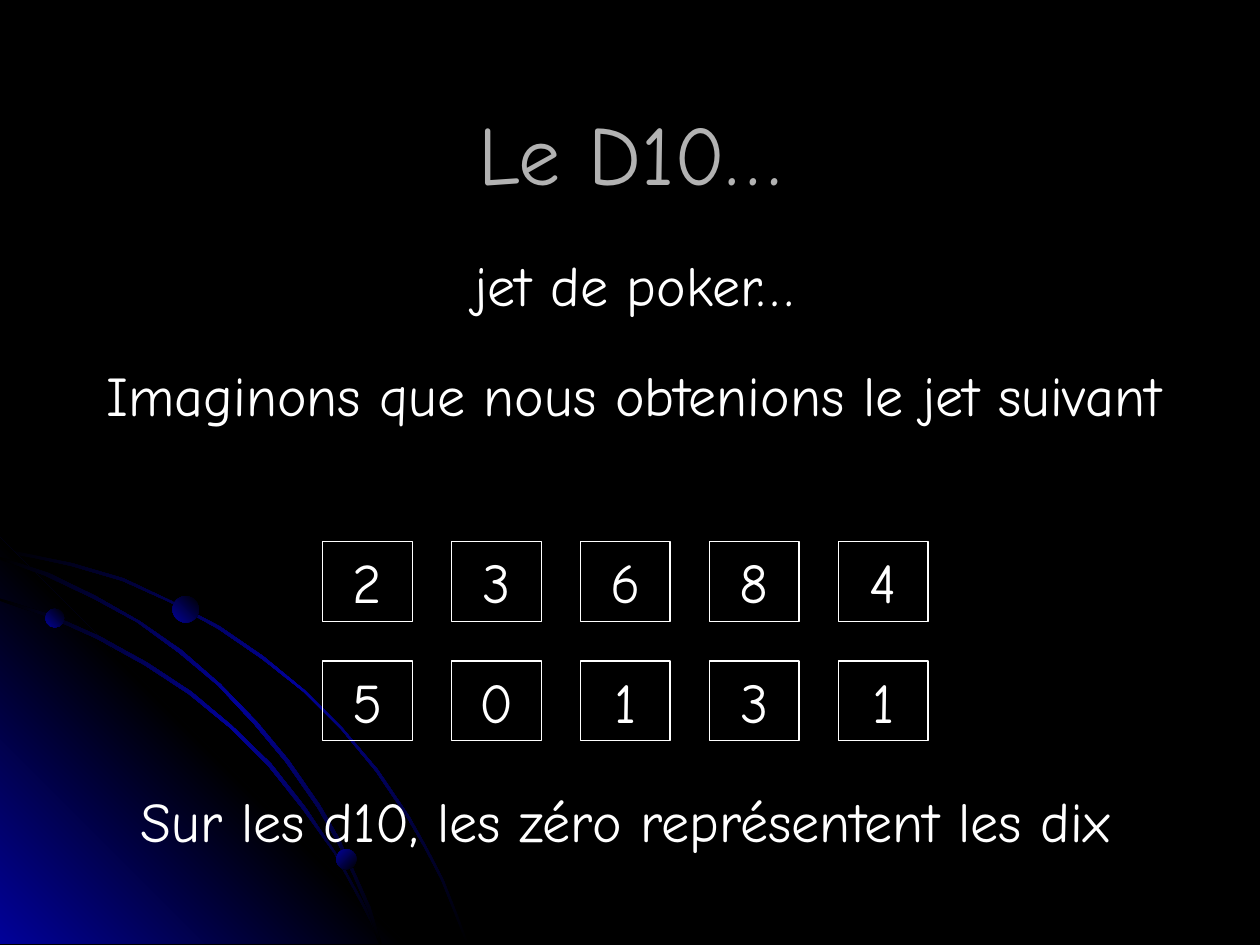
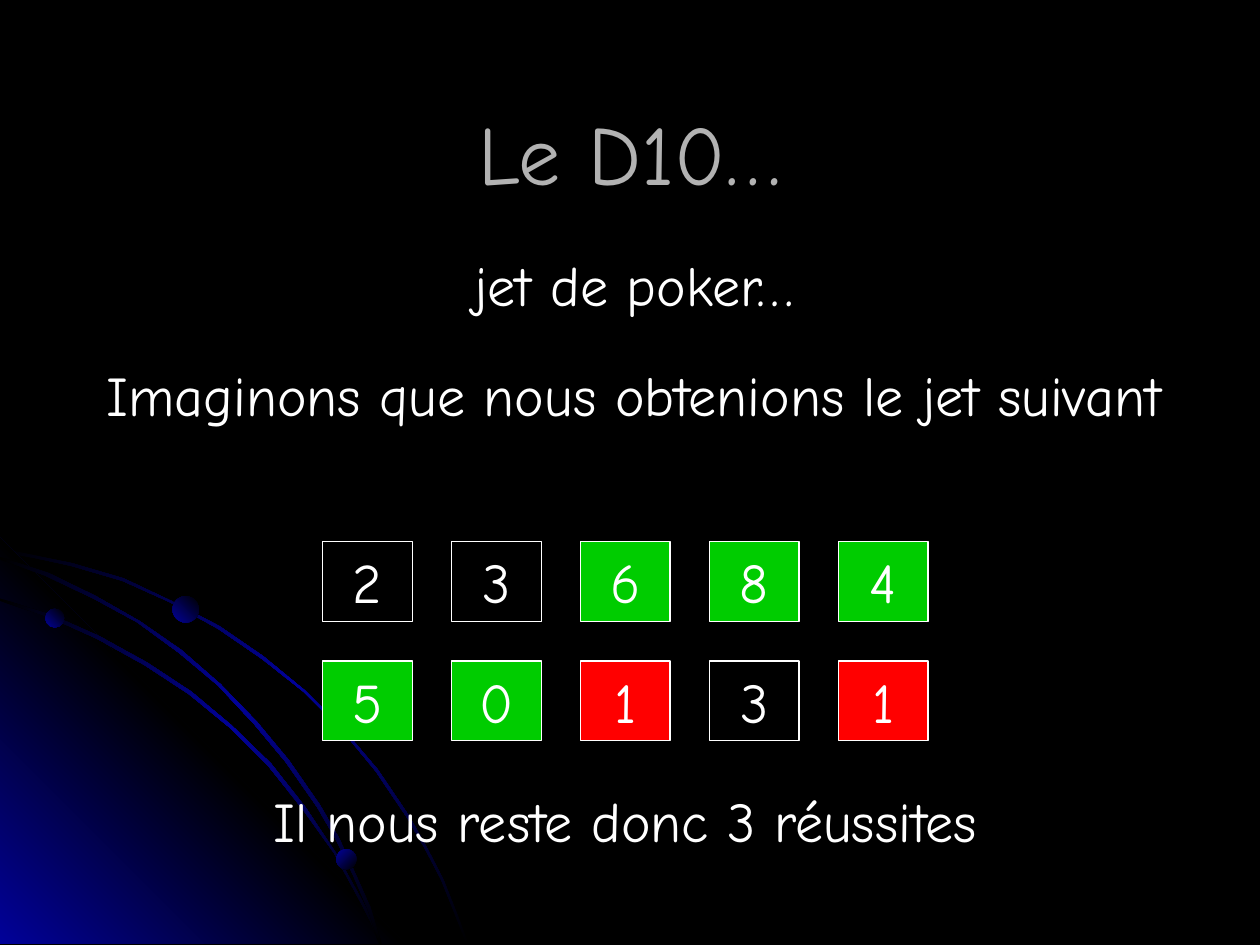
from dataclasses import dataclass

from lxml.etree import SubElement
from pptx import Presentation
from pptx.dml.color import RGBColor
from pptx.enum.shapes import MSO_SHAPE
from pptx.enum.text import MSO_ANCHOR, PP_ALIGN
from pptx.oxml.ns import qn
from pptx.util import Pt


@dataclass(frozen=True)
class Theme:
    font: str = "Comic Neue"
    background: str = "000000"
    glow: str = "010199"
    title: str = "B2B2B2"
    text: str = "FFFFFF"
    success: str = "00CC00"
    failure: str = "FF0000"
    title_size: float = 48
    text_size: float = 32
    outline_width: float = 0.75


THEME = Theme()
TRAIL = ((0, THEME.background), (50, THEME.glow), (100, THEME.background))
CORNER = ((0, THEME.glow), (50, THEME.background), (100, THEME.glow))
PLANET = ((0, THEME.background), (100, THEME.glow))

CORNER_POINTS = [(231.8, 539.3), (0, 539.3), (0, 307.4)]
OUTER_ORBIT = [
    (0, 315.4), (20.2, 319), (40.3, 323.3), (69.8, 331.9), (97.2, 344.2),
    (124.6, 359.3), (149.8, 376.6), (173.5, 395.3), (195.1, 416.9),
    (214.6, 440.6), (232.6, 467.3), (242.6, 484.6), (252, 502.6),
    (259.2, 520.6), (266.4, 539.3), (267.8, 539.3), (260.6, 520.6),
    (253.4, 502.6), (244.1, 484.6), (234, 466.6), (216, 439.9),
    (195.8, 416.2), (174.2, 394.6), (150.5, 375.1), (125.3, 357.8),
    (97.9, 343.4), (70.6, 330.5), (41, 321.8), (20.2, 317.5), (0, 313.2),
]
INNER_ORBIT = [
    (0, 343.4), (28.1, 352.8), (55.4, 365), (82.8, 380.2), (108, 396.7),
    (131.8, 416.2), (153.4, 437.8), (172.8, 462.2), (190.8, 487.4),
    (205.2, 514.1), (211.7, 527), (216.7, 539.3), (218.2, 539.3),
    (213.1, 525.6), (205.9, 512.6), (191.5, 486.7), (174.2, 460.8),
    (154.8, 436.3), (132.5, 414.7), (109.4, 395.3), (84.2, 378.7),
    (56.9, 363.6), (29.5, 351.4), (0, 342),
]
MIDDLE_ORBIT = [
    (0, 319.7), (25.9, 329), (53.3, 342), (78.5, 355.7), (102.2, 373),
    (124.6, 391.7), (145.4, 414), (163.4, 435.6), (181.4, 461.5),
    (192.2, 480.2), (201.6, 499.7), (210.2, 519.8), (216.7, 539.3),
    (218.2, 539.3), (211.7, 518.4), (203, 499), (193.7, 478.8),
    (182.9, 460.1), (164.9, 434.2), (146.9, 412.6), (126, 391),
    (103.7, 371.5), (79.9, 355), (54.7, 340.6), (28.1, 327.6), (0, 318.2),
]
BACKDROP = [
    (OUTER_ORBIT, TRAIL, 225),
    (CORNER_POINTS, CORNER, 135),
    (INNER_ORBIT, TRAIL, 225),
    (MIDDLE_ORBIT, TRAIL, 225),
]
PLANETS = [
    (25.9, 347.8, 10.8, 135),
    (192.2, 485.3, 11.5, 225),
    (98.6, 340.6, 15.1, 135),
]

DICE_ROWS = ["23684", "50131"]
DICE_LEFT, DICE_TOP = 184.5, 309.6
DICE_WIDTH, DICE_HEIGHT = 51.2, 45.4
DICE_STEP_X, DICE_STEP_Y = 73.65, 68.2


def write_text(shape, text, size=THEME.text_size, color=THEME.text, anchor=MSO_ANCHOR.TOP):
    frame = shape.text_frame
    frame.word_wrap = True
    frame.vertical_anchor = anchor
    paragraph = frame.paragraphs[0]
    paragraph.text = text
    paragraph.alignment = PP_ALIGN.CENTER
    font = paragraph.runs[0].font
    font.name = THEME.font
    font.size = Pt(size)
    font.color.rgb = RGBColor.from_string(color)


def fill_gradient(shape, stops, angle):
    shape.shadow.inherit = False
    shape.line.fill.background()
    shape.fill.gradient()
    shape.fill.gradient_angle = 360 - angle
    stop_list = next(shape.element.iter(qn("a:gsLst")))
    for old_stop in list(stop_list):
        stop_list.remove(old_stop)
    for position, color in stops:
        stop = SubElement(stop_list, qn("a:gs"), pos=str(position * 1000))
        SubElement(stop, qn("a:srgbClr"), val=color)


class Deck:
    def __init__(self):
        self.presentation = Presentation()
        self.presentation.slide_width = Pt(720)
        self.presentation.slide_height = Pt(540)
        self.slide = None

    def add_slide(self):
        self.slide = self.presentation.slides.add_slide(self.presentation.slide_layouts[6])
        background = self.slide.background.fill
        background.solid()
        background.fore_color.rgb = RGBColor.from_string(THEME.background)
        for points, stops, angle in BACKDROP:
            self.add_outline(points, stops, angle)
        for left, top, diameter, angle in PLANETS:
            self.add_planet(left, top, diameter, angle)

    def add_outline(self, points, stops, angle):
        start, *others = [(Pt(x), Pt(y)) for x, y in points]
        builder = self.slide.shapes.build_freeform(*start)
        builder.add_line_segments(others, close=True)
        fill_gradient(builder.convert_to_shape(), stops, angle)

    def add_planet(self, left, top, diameter, angle):
        shape = self.slide.shapes.add_shape(
            MSO_SHAPE.OVAL, Pt(left), Pt(top), Pt(diameter), Pt(diameter))
        fill_gradient(shape, PLANET, angle)

    def add_text(self, text, left, top, width, height, **text_format):
        shape = self.slide.shapes.add_textbox(Pt(left), Pt(top), Pt(width), Pt(height))
        write_text(shape, text, **text_format)

    def add_die(self, digit, column, row, color=None):
        shape = self.slide.shapes.add_shape(
            MSO_SHAPE.RECTANGLE,
            Pt(DICE_LEFT + column * DICE_STEP_X), Pt(DICE_TOP + row * DICE_STEP_Y),
            Pt(DICE_WIDTH), Pt(DICE_HEIGHT))
        shape.shadow.inherit = False
        shape.line.color.rgb = RGBColor.from_string(THEME.text)
        shape.line.width = Pt(THEME.outline_width)
        if color:
            shape.fill.solid()
            shape.fill.fore_color.rgb = RGBColor.from_string(color)
        else:
            shape.fill.background()
        write_text(shape, digit)

    def add_roll(self, conclusion, die_colors):
        self.add_slide()
        self.add_text("Le D10…", 54, 25.9, 612, 122.4, size=THEME.title_size,
                      color=THEME.title, anchor=MSO_ANCHOR.MIDDLE)
        self.add_text("jet de poker…", 19.4, 139.7, 686.2, 62.6)
        self.add_text("Imaginons que nous obtenions le jet suivant", 19.4, 202.3, 686.2, 85)
        for row, digits in enumerate(DICE_ROWS):
            for column, digit in enumerate(digits):
                self.add_die(digit, column, row, die_colors.get(digit))
        self.add_text(conclusion, 14.4, 445.7, 686.2, 82.8)


def main():
    deck = Deck()
    deck.add_roll("Sur les d10, les zéro représentent les dix", {})
    result_colors = {**dict.fromkeys("45680", THEME.success), "1": THEME.failure}
    deck.add_roll("Il nous reste donc 3 réussites", result_colors)
    deck.presentation.save("out.pptx")


if __name__ == "__main__":
    main()
